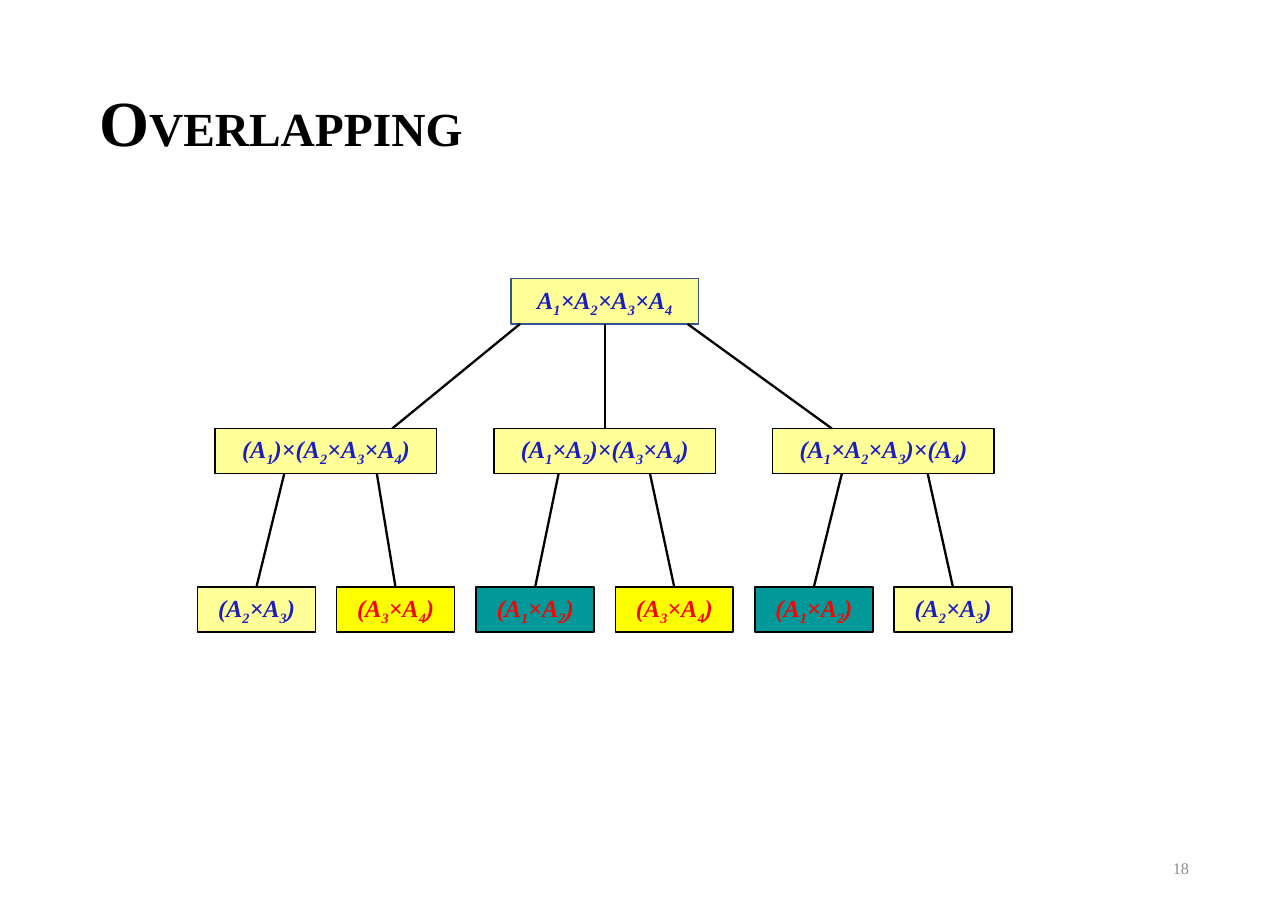
from itertools import groupby

from lxml.etree import SubElement
from pptx import Presentation
from pptx.dml.color import RGBColor
from pptx.enum.shapes import MSO_CONNECTOR, MSO_SHAPE
from pptx.enum.text import MSO_ANCHOR, MSO_AUTO_SIZE, PP_ALIGN
from pptx.oxml.ns import qn
from pptx.util import Inches, Pt

FONT = "Times New Roman"
BLACK = RGBColor(0x00, 0x00, 0x00)
GRAY = RGBColor(0x8C, 0x8C, 0x8C)
NAVY = RGBColor(0x32, 0x54, 0x91)
BLUE = RGBColor(0x1A, 0x1D, 0xC0)
RED = RGBColor(0xFF, 0x00, 0x00)
CREAM = RGBColor(0xFF, 0xFF, 0x97)
YELLOW = RGBColor(0xFF, 0xFF, 0x00)
TEAL = RGBColor(0x00, 0x98, 0x98)

deck = Presentation()
deck.slide_width, deck.slide_height = Inches(11.69), Inches(8.27)
slide = deck.slides.add_slide(deck.slide_layouts[5])
shapes = slide.shapes

# Grid: one hundred columns by one hundred rows
COL, ROW = deck.slide_width / 100, deck.slide_height / 100
MID, STEP, HALF = 46.95, 21.64, 5.4
TOPS = [30.6, 47.04, 64.45]
WIDTHS = [14.54, 17.19, 9.15]
TALL = 4.96


def add_node(text, level, mid, fill=CREAM, ink=BLUE, edge=BLACK):
    """Add a box centred on column mid, with the digits of text as subscripts."""
    wide = WIDTHS[level]
    node = shapes.add_shape(
        MSO_SHAPE.RECTANGLE, int((mid - wide / 2) * COL), int(TOPS[level] * ROW),
        int(wide * COL), int(TALL * ROW))
    node.shadow.inherit = False
    node.fill.solid()
    node.fill.fore_color.rgb = fill
    node.line.color.rgb = edge
    node.line.width = Pt(1)
    frame = node.text_frame
    frame.vertical_anchor = MSO_ANCHOR.MIDDLE
    para = frame.paragraphs[0]
    para.alignment = PP_ALIGN.CENTER
    font = para.font
    font.name, font.size, font.bold, font.italic = FONT, Pt(16), True, True
    font.color.rgb = ink
    for digit, part in groupby(text, str.isdigit):
        run = para.add_run()
        run.text = "".join(part)
        if digit:
            run._r.get_or_add_rPr().set("baseline", "-25000")
    return node


def add_branch(start, level, end):
    """Add a line from column start under a level to column end of the next."""
    line = shapes.add_connector(
        MSO_CONNECTOR.STRAIGHT, int(start * COL), int((TOPS[level] + TALL) * ROW),
        int(end * COL), int(TOPS[level + 1] * ROW))
    line.line.color.rgb = BLACK
    line.line.width = Pt(1.5)
    SubElement(line._element.spPr, qn("a:effectLst"))
    return line


# Title
title = shapes.title
title.left, title.top = int(6.84 * COL), int(5.93 * ROW)
title.width, title.height = int(85.71 * COL), int(15.72 * ROW)
frame = title.text_frame
frame.auto_size = MSO_AUTO_SIZE.NONE
frame.vertical_anchor = MSO_ANCHOR.MIDDLE
para = frame.paragraphs[0]
para.alignment = PP_ALIGN.LEFT
para.line_spacing = 0.9
para.font.name, para.font.bold = FONT, True
para.font.color.rgb = BLACK
for text, size in [("O", 42), ("VERLAPPING", 31)]:
    run = para.add_run()
    run.text = text
    run.font.size = Pt(size)

# Tree: root, three splits, two leaves under each split
root = add_node("A1×A2×A3×A4", 0, MID, edge=NAVY)
PLAIN, GOLD, DARK = (CREAM, BLUE), (YELLOW, RED), (TEAL, RED)
splits = [
    ("(A1)×(A2×A3×A4)", 40.38, 30.45,
     [("(A2×A3)", PLAIN, 22.07), ("(A3×A4)", GOLD, 29.26)]),
    ("(A1×A2)×(A3×A4)", MID, MID,
     [("(A1×A2)", DARK, 43.37), ("(A3×A4)", GOLD, 50.47)]),
    ("(A1×A2×A3)×(A4)", 53.38, 64.59,
     [("(A1×A2)", DARK, 65.36), ("(A2×A3)", PLAIN, 72.03)]),
]
for i, (text, start, end, leaves) in enumerate(splits):
    mid = MID + (i - 1) * STEP
    split = add_node(text, 1, mid)
    line = add_branch(start, 0, end)
    if start == end:
        line.begin_connect(root, 2)
        line.end_connect(split, 0)
    for side, (text, (fill, ink), start) in zip((-1, 1), leaves):
        spot = mid + side * HALF
        leaf = add_node(text, 2, spot, fill, ink)
        add_branch(start, 1, spot).end_connect(leaf, 0)

# Slide number
box = shapes.add_textbox(
    int(70.66 * COL), int(92.62 * ROW), int(22.5 * COL), int(5.32 * ROW))
frame = box.text_frame
frame.word_wrap = True
frame.vertical_anchor = MSO_ANCHOR.MIDDLE
para = frame.paragraphs[0]
para.text = "18"
para.alignment = PP_ALIGN.RIGHT
para.font.name, para.font.size = FONT, Pt(10.6)
para.font.color.rgb = GRAY

deck.save("out.pptx")
